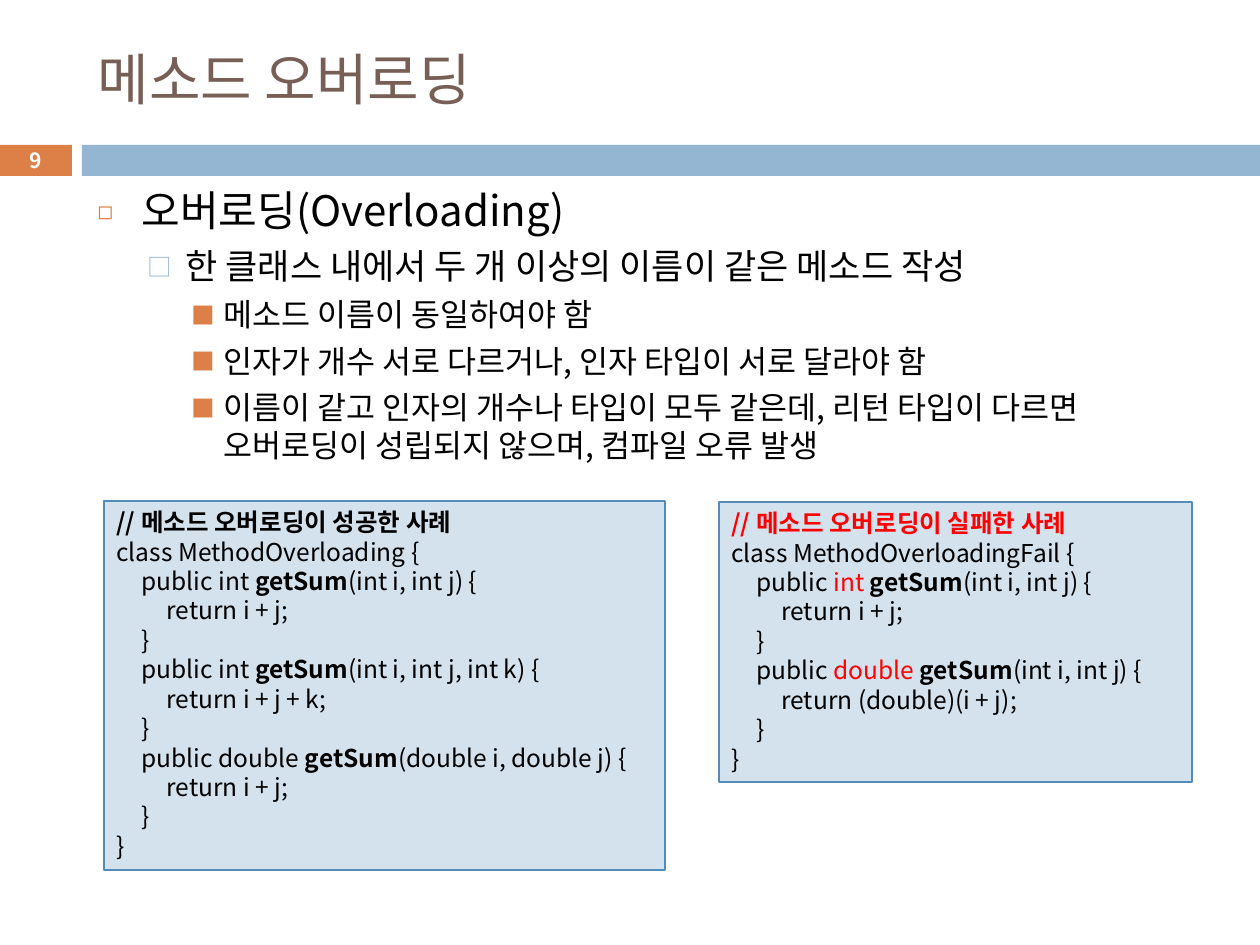
from lxml.etree import SubElement
from pptx import Presentation
from pptx.dml.color import RGBColor
from pptx.enum.shapes import MSO_SHAPE
from pptx.enum.text import MSO_ANCHOR, MSO_AUTO_SIZE, PP_ALIGN
from pptx.oxml.ns import qn
from pptx.util import Emu, Pt

FONT = "Noto Sans CJK KR"
BLACK, RED, WHITE = "000000", "FF0000", "FFFFFF"
ORANGE, BLUE = "DD8047", "94B6D2"
PLAIN = {"size": Pt(14), "bold": False, "color": BLACK}
BOLD = PLAIN | {"bold": True}
ALERT = PLAIN | {"color": RED}
LEVELS = [
    {"size": 24, "mark": "◻", "scale": 60, "tint": ORANGE, "left": 44, "hang": 44, "gap": 0},
    {"size": 20, "mark": "□", "scale": 70, "tint": BLUE, "left": 88, "hang": 38, "gap": 5.5},
    {"size": 18, "mark": "■", "scale": 75, "tint": ORANGE, "left": 126, "hang": 32, "gap": 5},
]
ITEMS = [
    (0, "오버로딩(Overloading)"),
    (1, "한 클래스 내에서 두 개 이상의 이름이 같은 메소드 작성"),
    (2, "메소드 이름이 동일하여야 함"),
    (2, "인자가 개수 서로 다르거나, 인자 타입이 서로 달라야 함"),
    (2, "이름이 같고 인자의 개수나 타입이 모두 같은데, 리턴 타입이 다르면 "
        "오버로딩이 성립되지 않으며, 컴파일 오류 발생"),
]


def px(count):
    return Emu(round(count * 914400 / 126))


def paint(value):
    return RGBColor.from_string(value)


def method(kind, args, value, style=PLAIN):
    return [
        [("\tpublic ", PLAIN), (kind + " ", style), ("getSum", BOLD), (f"({args}) {{", PLAIN)],
        [(f"\t\treturn {value};", PLAIN)],
        [("\t}", PLAIN)],
    ]


def listing(note, style, name, *parts):
    rows = [[("// " + note, style)], [(f"class {name} {{", PLAIN)]]
    for part in parts:
        rows += part
    return rows + [[("}", PLAIN)]]


class Deck:
    def __init__(self):
        self.file = Presentation()
        self.file.slide_width, self.file.slide_height = px(1260), px(945)
        self.slide = self.file.slides.add_slide(self.file.slide_layouts[1])

    def place(self, shape, spot):
        for name, value in zip(("left", "top", "width", "height"), spot):
            setattr(shape, name, px(value))

    def frame(self, shape, **form):
        frame = shape.text_frame
        for name, value in ({"word_wrap": True, "auto_size": MSO_AUTO_SIZE.NONE} | form).items():
            setattr(frame, name, value)
        return frame

    def run(self, para, text, form):
        run = para.add_run()
        run.text = text
        for name, value in (form | {"name": FONT}).items():
            if name == "color":
                run.font.color.rgb = paint(value)
            else:
                setattr(run.font, name, value)
        SubElement(run.font._element, qn("a:ea"), typeface=FONT)

    def paras(self, frame, rows):
        for spot, row in enumerate(rows):
            yield (frame.add_paragraph() if spot else frame.paragraphs[0]), row

    def title(self, text, spot):
        shape = self.slide.shapes.title
        self.place(shape, spot)
        para = self.frame(shape, vertical_anchor=MSO_ANCHOR.MIDDLE).paragraphs[0]
        para.alignment = PP_ALIGN.LEFT
        self.run(para, text, {"size": Pt(32), "color": "775F55"})

    def body(self, items, spot):
        shape = self.slide.placeholders[1]
        self.place(shape, spot)
        frame = self.frame(shape, vertical_anchor=MSO_ANCHOR.TOP)
        for para, (level, text) in self.paras(frame, items):
            look = LEVELS[level]
            para.level = level
            para.space_before = Pt(look["gap"])
            props = para._p.get_or_add_pPr()
            props.set("marL", str(px(look["left"])))
            props.set("indent", str(-px(look["hang"])))
            tint = SubElement(props, qn("a:buClr"))
            SubElement(tint, qn("a:srgbClr"), val=look["tint"])
            SubElement(props, qn("a:buSzPct"), val=str(look["scale"] * 1000))
            SubElement(props, qn("a:buFont"), typeface=FONT)
            SubElement(props, qn("a:buChar"), char=look["mark"])
            self.run(para, text, {"size": Pt(look["size"]), "color": BLACK})

    def rect(self, spot, fill, line=None):
        shape = self.slide.shapes.add_shape(MSO_SHAPE.RECTANGLE, *map(px, spot))
        shape.shadow.inherit = False
        shape.fill.solid()
        shape.fill.fore_color.rgb = paint(fill)
        if line:
            shape.line.color.rgb = paint(line)
            shape.line.width = Pt(0.75)
        else:
            shape.line.fill.background()
        return shape

    def code(self, rows, spot):
        shape = self.rect(spot, "D4E2ED", "558BB8")
        frame = self.frame(shape, vertical_anchor=MSO_ANCHOR.TOP,
                           auto_size=MSO_AUTO_SIZE.SHAPE_TO_FIT_TEXT)
        for para, row in self.paras(frame, rows):
            para.alignment = PP_ALIGN.LEFT
            tabs = SubElement(para._p.get_or_add_pPr(), qn("a:tabLst"))
            for step in (1, 2):
                SubElement(tabs, qn("a:tab"), pos=str(px(25 * step)), algn="l")
            for text, form in row:
                self.run(para, text, form)

    def label(self, text, spot):
        shape = self.slide.shapes.add_textbox(*map(px, spot))
        edges = dict.fromkeys(("margin_top", "margin_bottom"), 0)
        para = self.frame(shape, vertical_anchor=MSO_ANCHOR.MIDDLE, **edges).paragraphs[0]
        para.alignment = PP_ALIGN.CENTER
        self.run(para, text, {"size": Pt(12), "bold": True, "color": WHITE})


def main():
    deck = Deck()
    deck.rect((-1, 145, 73, 31), ORANGE)
    deck.rect((82, 145, 1178, 31), BLUE)
    deck.title("메소드 오버로딩", (85, 32, 1124, 93))
    deck.body(ITEMS, (85, 178, 1124, 325))
    pair = "int i, int j"
    deck.code(listing("메소드 오버로딩이 성공한 사례", BOLD, "MethodOverloading",
                      method("int", pair, "i + j"),
                      method("int", pair + ", int k", "i + j + k"),
                      method("double", "double i, double j", "i + j")),
              (104, 501, 561, 369))
    deck.code(listing("메소드 오버로딩이 실패한 사례", ALERT | {"bold": True},
                      "MethodOverloadingFail",
                      method("int", pair, "i + j", ALERT),
                      method("double", pair, "(double)(i + j)", ALERT)),
              (719, 502, 473, 280))
    deck.label("9", (-1, 143, 73, 34))
    deck.file.save("out.pptx")


if __name__ == "__main__":
    main()
